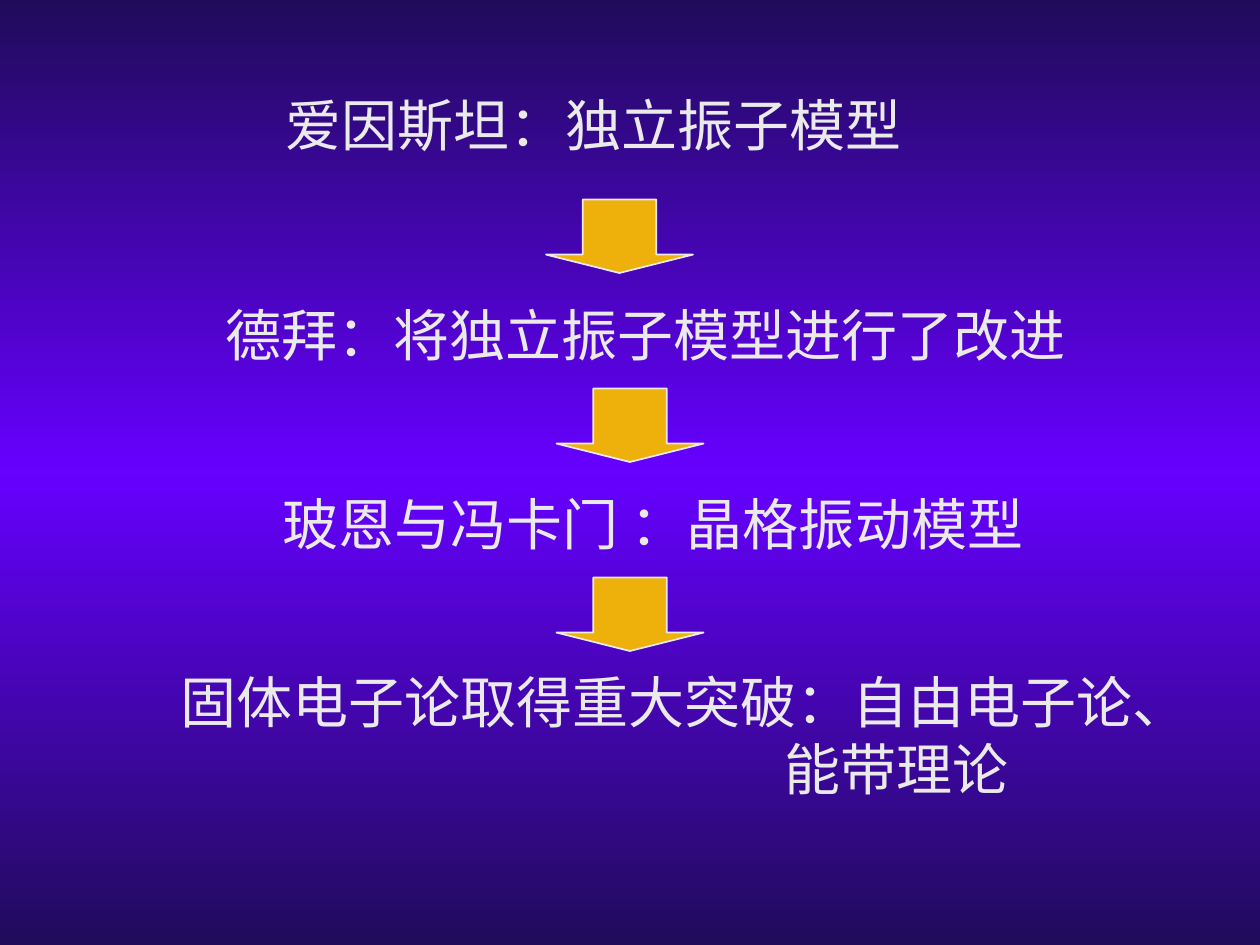
from copy import deepcopy

from pptx import Presentation
from pptx.dml.color import RGBColor
from pptx.enum.shapes import MSO_SHAPE as SHAPE
from pptx.enum.text import PP_ALIGN as ALIGN
from pptx.oxml.ns import qn
from pptx.util import Inches, Pt

NIGHT = RGBColor(0x20, 0x0B, 0x5B)
VIOLET = RGBColor(0x66, 0x00, 0xFF)
PALE = RGBColor(0xEA, 0xEA, 0xEA)
GOLD = RGBColor(0xEE, 0xB0, 0x0B)
SANS, SERIF = "Noto Sans CJK SC", "Times New Roman"
COLS, ROWS = 120, 90


class Deck:
    """Hold the style and current slide, placing elements on a 120 by 90 grid."""

    def __init__(self):
        self.prs = Presentation()
        self.prs.slide_width, self.prs.slide_height = Inches(10), Inches(7.5)
        self.s = self.prs.slides.add_slide(self.prs.slide_layouts[6])

    def place(self, col, row, cols, rows):
        dx, dy = self.prs.slide_width / COLS, self.prs.slide_height / ROWS
        return [round(v) for v in (col * dx, row * dy, cols * dx, rows * dy)]

    def background(self, edge, middle):
        fill = self.s.background.fill
        fill.gradient()
        fill.gradient_angle = 270
        stops = self.s.element.find(".//" + qn("a:gsLst"))
        stops.insert(1, deepcopy(stops[0]))
        for i, (stop, color) in enumerate(zip(fill.gradient_stops, (edge, middle, edge))):
            stop.color.rgb = color
            stop.position = i / 2

    def text(self, col, row, cols, lines, rows=7.7, font=SANS, align=ALIGN.LEFT):
        tf = self.s.shapes.add_textbox(*self.place(col, row, cols, rows)).text_frame
        tf.word_wrap = True
        for i, (line, indent) in enumerate(lines):
            p = tf.add_paragraph() if i else tf.paragraphs[0]
            p.alignment = align
            if indent:
                p._p.get_or_add_pPr().set("marL", str(self.place(indent, 0, 0, 0)[0]))
            r = p.add_run()
            r.text = line
            r.font.size, r.font.name = Pt(32), font
            r.font.color.rgb = PALE
            ea = r._r.get_or_add_rPr().makeelement(qn("a:ea"), {"typeface": SANS})
            r._r.rPr.find(qn("a:latin")).addnext(ea)

    def arrow(self, col, row):
        sp = self.s.shapes.add_shape(SHAPE.DOWN_ARROW, *self.place(col, row, 14, 7))
        sp.adjustments[0], sp.adjustments[1] = 0.5, 0.25
        sp.shadow.inherit = False
        sp.fill.solid()
        sp.fill.fore_color.rgb = GOLD
        sp.line.color.rgb = PALE
        sp.line.width = Pt(1)


def main():
    deck = Deck()
    deck.background(NIGHT, VIOLET)
    deck.text(26, 8, 75, [("爱因斯坦：独立振子模型", 0)])
    deck.arrow(52, 19)
    deck.text(10, 28, 103, [("德拜：将独立振子模型进行了改进", 0)], align=ALIGN.CENTER)
    deck.arrow(53, 37)
    deck.text(25.7, 46, 74, [("玻恩与冯卡门 ：晶格振动模型", 0)])
    deck.arrow(53, 55)
    deck.text(16, 63, 99, [("固体电子论取得重大突破：自由电子论、", 0), ("能带理论", 57.5)],
              rows=14, font=SERIF)
    deck.prs.save("out.pptx")


if __name__ == "__main__":
    main()
